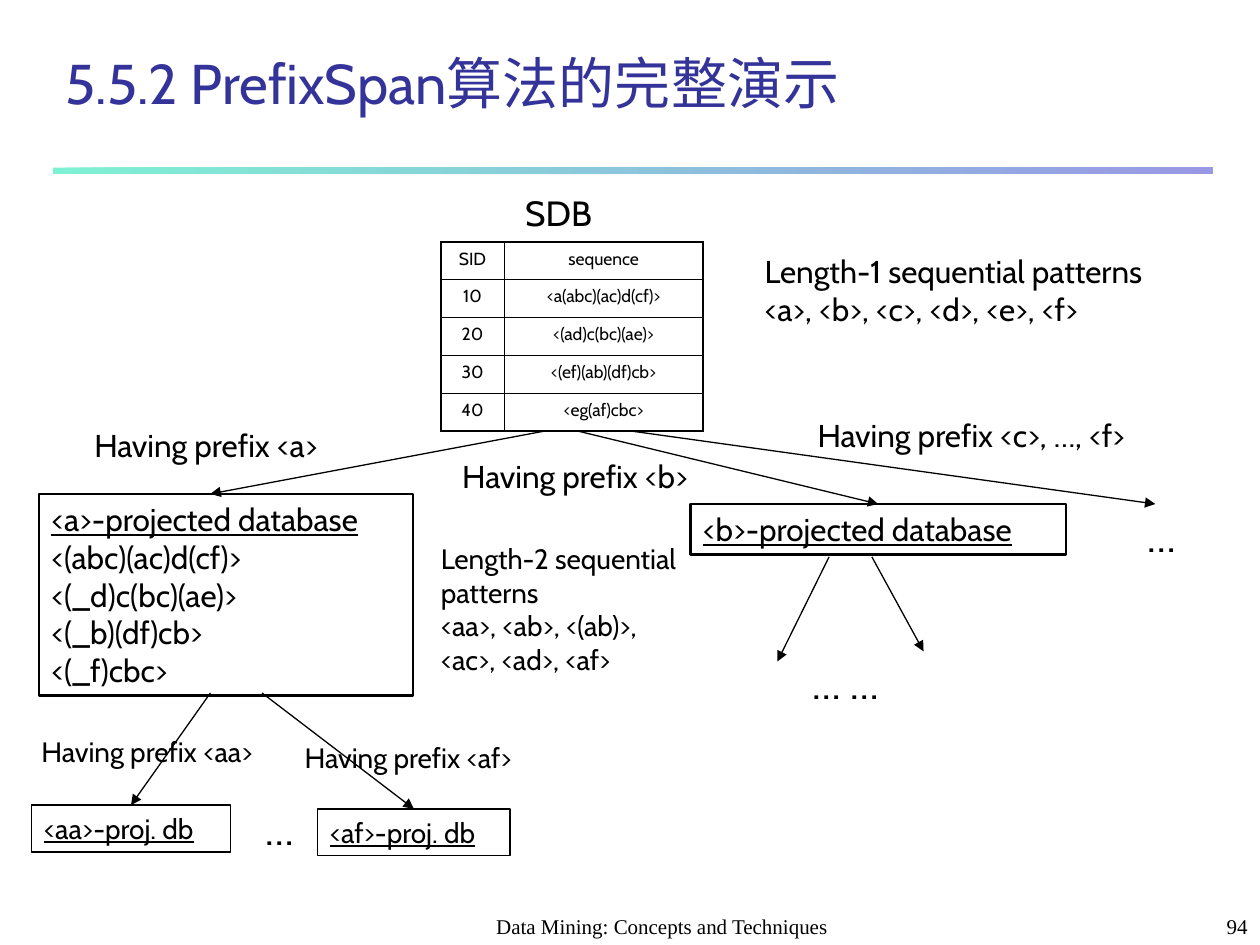
from typing import NamedTuple, Optional

from lxml.etree import SubElement
from pptx import Presentation
from pptx.dml.color import RGBColor
from pptx.enum.shapes import MSO_CONNECTOR, MSO_SHAPE
from pptx.enum.text import MSO_ANCHOR, PP_ALIGN
from pptx.oxml.ns import qn
from pptx.util import Inches, Pt

BLACK = "000000"
FONT = "Cabin"
SERIF = "Times New Roman"


class Label(NamedTuple):
    text: str
    x: float
    y: float
    w: float
    h: float
    size: int = 18
    font: str = FONT
    color: str = BLACK
    align: PP_ALIGN = PP_ALIGN.LEFT
    anchor: MSO_ANCHOR = MSO_ANCHOR.TOP


class Box(NamedTuple):
    key: str
    label: Label
    line: float


class Arrow(NamedTuple):
    x1: float
    y1: float
    x2: float
    y2: float
    goal: Optional[str] = None


LABELS = [
    Label("5.5.2 PrefixSpan算法的完整演示", 0.42, 0.42, 8.52, 0.55, 32,
          color="333399", anchor=MSO_ANCHOR.BOTTOM),
    Label("SDB", 4.07, 1.47, 0.8, 0.44, 20),
    Label("Length-1 sequential patterns\n<a>, <b>, <c>, <d>, <e>, <f>",
          5.97, 1.95, 3.59, 0.7),
    Label("Length-2 sequential\npatterns\n<aa>, <ab>, <(ab)>,\n<ac>, <ad>, <af>",
          3.4, 4.25, 2.27, 1.17, 16),
    Label("Having prefix <a>", 0.65, 3.33, 2.26, 0.4),
    Label("Having prefix <b>", 3.57, 3.58, 2.27, 0.4),
    Label("Having prefix <c>, …, <f>", 6.39, 3.25, 3.07, 0.4),
    Label("Having prefix <aa>", 0.23, 5.78, 2.15, 0.37, 16),
    Label("Having prefix <af>", 2.32, 5.83, 2.1, 0.37, 16),
    Label("…", 2.01, 6.33, 0.5, 0.5, 24),
    Label("…", 9.01, 4, 0.5, 0.5, 24),
    Label("… …", 6.35, 5.17, 0.81, 0.5, 24),
    Label("Data Mining: Concepts and Techniques", 3.67, 7.08, 3.17, 0.42, 12,
          SERIF, align=PP_ALIGN.CENTER, anchor=MSO_ANCHOR.BOTTOM),
    Label("94", 7.92, 7.08, 2.08, 0.42, 12,
          SERIF, align=PP_ALIGN.RIGHT, anchor=MSO_ANCHOR.BOTTOM),
]

BOXES = [
    Box("a", Label("<a>-projected database\n<(abc)(ac)d(cf)>\n<(_d)c(bc)(ae)>\n"
                   "<(_b)(df)cb>\n<(_f)cbc>", 0.31, 3.92, 2.97, 1.6), 1.5),
    Box("b", Label("<b>-projected database", 5.48, 4, 2.98, 0.4), 1.5),
    Box("aa", Label("<aa>-proj. db", 0.25, 6.39, 1.58, 0.37, 16), 1),
    Box("af", Label("<af>-proj. db", 2.52, 6.42, 1.53, 0.37, 16), 1),
]

ARROWS = [
    Arrow(4.33, 3.42, 1.67, 3.92),
    Arrow(4.58, 3.42, 7, 4, "b"),
    Arrow(5, 3.42, 9.17, 4),
    Arrow(1.67, 5.5, 1, 6.42, "aa"),
    Arrow(2.08, 5.5, 3.33, 6.42, "af"),
    Arrow(6.58, 4.42, 6.17, 5.25),
    Arrow(6.92, 4.42, 7.33, 5.17),
]

ROWS = [
    ("SID", "sequence"),
    ("10", "<a(abc)(ac)d(cf)>"),
    ("20", "<(ad)c(bc)(ae)>"),
    ("30", "<(ef)(ab)(df)cb>"),
    ("40", "<eg(af)cbc>"),
]
COLS = (0.5, 1.58)


def rgb(code: str) -> RGBColor:
    return RGBColor.from_string(code)


def apply(item, values: dict) -> None:
    for name, value in values.items():
        setattr(item, name, value)


def write(frame, label: Label, under: bool = False) -> None:
    apply(frame, {
        "text": label.text, "word_wrap": True, "vertical_anchor": label.anchor,
        "margin_left": Inches(0.1), "margin_right": Inches(0.1),
        "margin_top": Inches(0.05), "margin_bottom": Inches(0.05),
    })
    for i, para in enumerate(frame.paragraphs):
        para.alignment = label.align
        for run in para.runs:
            apply(run.font, {"name": label.font, "size": Pt(label.size),
                             "underline": under and i == 0})
            run.font.color.rgb = rgb(label.color)


def place(label: Label) -> list:
    return [Inches(n) for n in (label.x, label.y, label.w, label.h)]


def draw_box(shapes, box: Box):
    shape = shapes.add_shape(MSO_SHAPE.RECTANGLE, *place(box.label))
    shape.shadow.inherit = False
    shape.fill.background()
    shape.line.color.rgb = rgb(BLACK)
    shape.line.width = Pt(box.line)
    write(shape.text_frame, box.label, under=True)
    return shape


def draw_arrow(shapes, arrow: Arrow, nodes: dict) -> None:
    ends = [Inches(n) for n in arrow[:4]]
    line = shapes.add_connector(MSO_CONNECTOR.STRAIGHT, *ends)
    if arrow.goal:
        line.end_connect(nodes[arrow.goal], 0)
    line.line.color.rgb = rgb(BLACK)
    line.line.width = Pt(0.75)
    props = line._element.spPr
    SubElement(props.find(qn("a:ln")), qn("a:tailEnd"), type="triangle")
    SubElement(props, qn("a:effectLst"))


def draw_rule(shapes) -> None:
    rule = shapes.add_shape(MSO_SHAPE.RECTANGLE, Inches(0.42), Inches(1.33),
                            Inches(9.2), Inches(0.05))
    rule.shadow.inherit = False
    rule.line.fill.background()
    rule.fill.gradient()
    rule.fill.gradient_angle = 0
    for stop, code in zip(rule.fill.gradient_stops, ("00E4A8", "3333CC")):
        stop.color.rgb = rgb(code)
    for color in rule._element.spPr.iter(qn("a:srgbClr")):
        SubElement(color, qn("a:alpha"), val="50000")


def edge(cell, outer: dict) -> None:
    props = cell._tc.get_or_add_tcPr()
    for side, thick in outer.items():
        width = Pt(1.08 if thick else 0.45)
        line = SubElement(props, qn(f"a:ln{side}"), w=str(width))
        fill = SubElement(line, qn("a:solidFill"))
        SubElement(fill, qn("a:srgbClr"), val=BLACK)


def draw_table(shapes) -> None:
    table = shapes.add_table(len(ROWS), len(COLS), Inches(3.5), Inches(1.92),
                             Inches(sum(COLS)), Inches(0.3 * len(ROWS))).table
    apply(table, {"first_row": False, "horz_banding": False})
    for col, width in zip(table.columns, COLS):
        col.width = Inches(width)
    for r, row in enumerate(ROWS):
        table.rows[r].height = Inches(0.3)
        for c, text in enumerate(row):
            cell = table.cell(r, c)
            edge(cell, {"L": c == 0, "R": c == len(COLS) - 1,
                        "T": r == 0, "B": r == len(ROWS) - 1})
            cell.fill.background()
            write(cell.text_frame, Label(text, 0, 0, 0, 0, 10,
                                         align=PP_ALIGN.CENTER))


def main() -> None:
    deck = Presentation()
    apply(deck, {"slide_width": Inches(10), "slide_height": Inches(7.5)})
    shapes = deck.slides.add_slide(deck.slide_layouts[6]).shapes
    draw_rule(shapes)
    draw_table(shapes)
    nodes = {box.key: draw_box(shapes, box) for box in BOXES}
    for arrow in ARROWS:
        draw_arrow(shapes, arrow, nodes)
    for label in LABELS:
        write(shapes.add_textbox(*place(label)).text_frame, label)
    deck.save("out.pptx")


if __name__ == "__main__":
    main()
